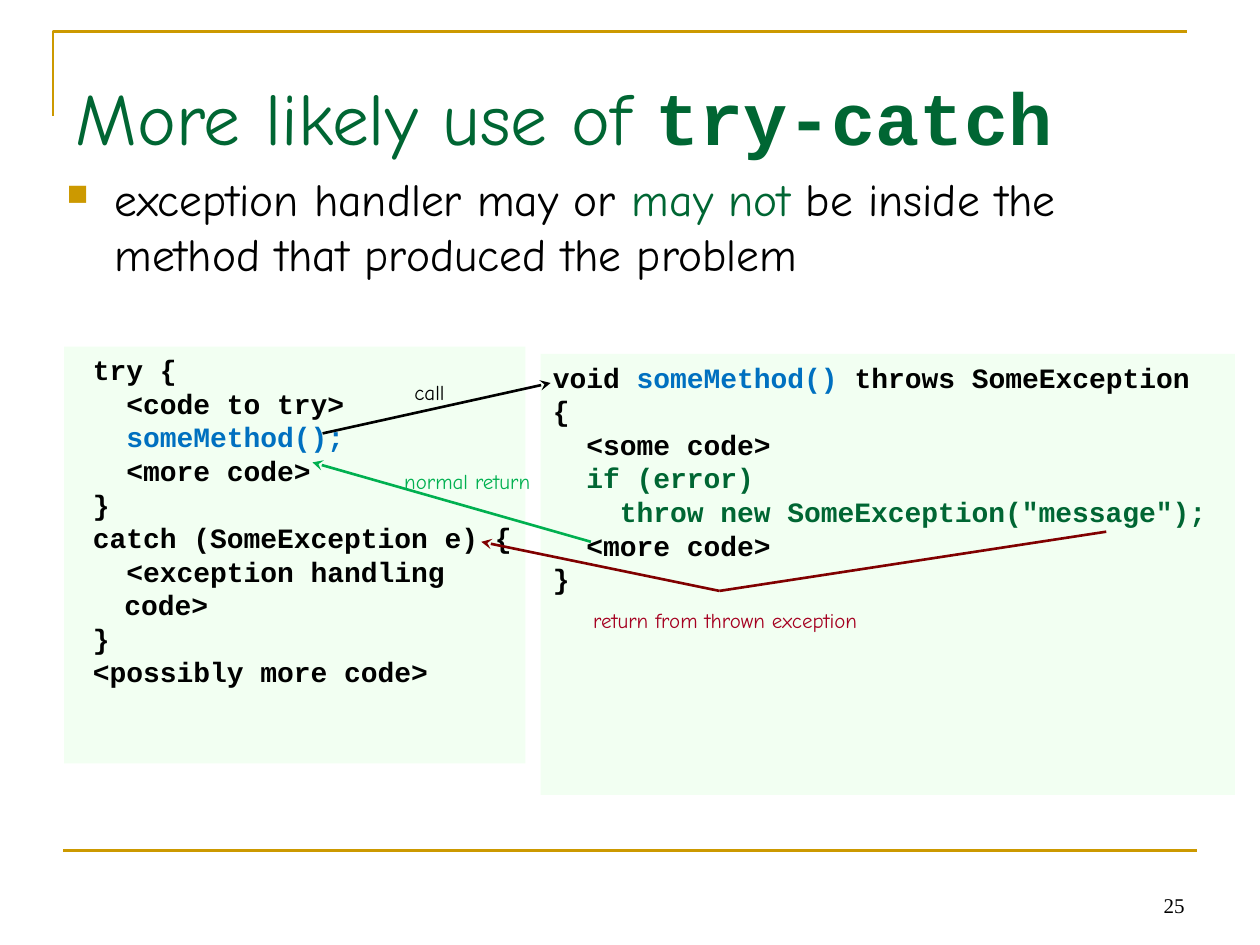
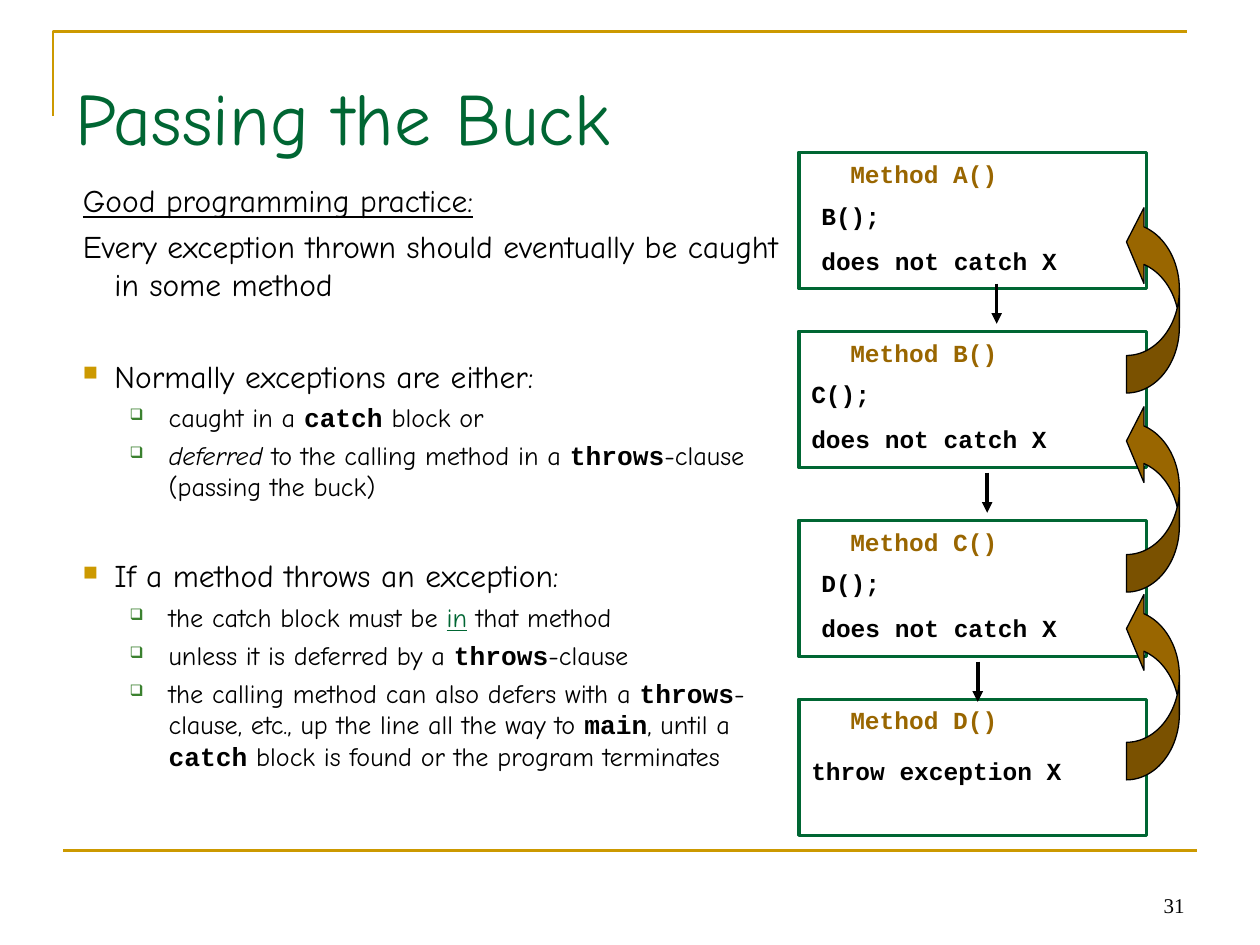
from dataclasses import dataclass, field
from typing import NamedTuple

from lxml import etree
from pptx import Presentation
from pptx.dml.color import RGBColor
from pptx.enum.shapes import MSO_CONNECTOR, MSO_SHAPE
from pptx.enum.text import MSO_ANCHOR as ANCHOR, MSO_AUTO_SIZE as FIT, PP_ALIGN as ALIGN
from pptx.oxml.ns import qn
from pptx.util import Inches, Pt


@dataclass(frozen=True)
class Theme:
    sans: str = "Comic Neue"
    mono: str = "Courier New"
    serif: str = "Times New Roman"
    black: str = "000000"
    green: str = "006633"
    gold: str = "CC9900"
    brown: str = "996600"
    blue: str = "0070C0"
    return_green: str = "00B050"
    maroon: str = "800000"
    crimson: str = "A50021"
    panel: str = "CCFFCC"
    sub_bullet: str = "3B812F"
    title: int = 42
    lead: int = 26
    body: int = 18
    code: int = 16
    sub: int = 15
    method: int = 14
    small: int = 12


T = Theme()


class Box(NamedTuple):
    left: float
    top: float
    width: float
    height: float

    def emu(self) -> list:
        return [Inches(v) for v in self]


class Bullet(NamedTuple):
    char: str
    color: str
    percent: int


@dataclass(frozen=True)
class Style:
    """Paragraph layout and the font its runs start from."""
    font: dict
    margin: float = 0
    indent: float = 0
    before: float = 0
    level: int = 0
    bullet: Bullet | None = None
    align: ALIGN = ALIGN.LEFT


class Para(NamedTuple):
    style: Style
    runs: list  # each a string or a (string, font changes) pair
    before: float | None = None


class Arrow(NamedTuple):
    start: tuple
    end: tuple
    color: str
    width: float = 1.5
    ends: dict = {}


@dataclass(frozen=True)
class Method:
    name: str
    top: float
    body_left: float
    body_top: float
    lines: list = field(default_factory=list)


# Fonts and paragraph styles
def font(size: int, color: str = T.black, name: str = T.sans, **more) -> dict:
    return {"size": Pt(size), "color": color, "name": name, **more}


def mono_font(size: int, color: str = T.black) -> dict:
    return font(size, color, T.mono, bold=True)


MONO = {"name": T.mono, "bold": True}
GREEN, BLUE = {"color": T.green}, {"color": T.blue}
SQUARE = Bullet("■", T.gold, 65)
OPEN_SQUARE = Bullet("❑", T.sub_bullet, 60)

TITLE = Style(font(T.title, T.green))
NUMBER = Style(font(T.small, name=T.serif), align=ALIGN.RIGHT)
LEAD = Style(font(T.lead), 0.38, -0.38, bullet=SQUARE)
PLAIN = Style(font(T.body), 0.38, -0.25, 4.5)
POINT = Style(font(T.body), 0.38, -0.25, 4.5, bullet=SQUARE)
SUB = Style(font(T.sub), 0.81, -0.31, 3.7, 1, OPEN_SQUARE)
CALLER_CODE = Style(mono_font(T.code), 0.38, -0.25)
CALLED_CODE = Style(mono_font(T.code), 0.38, -0.38)
METHOD_NAME = Style(mono_font(T.method, T.brown))
METHOD_CODE = Style(mono_font(T.method), before=8.8)
SECTION_GAP = 31


# Drawing helpers
def rgb(value: str) -> RGBColor:
    return RGBColor.from_string(value)


def add_xml(parent, tag: str, **attrs):
    return etree.SubElement(parent, qn(tag), {k: str(v) for k, v in attrs.items()})


def write(tf, paras: list[Para], anchor: ANCHOR = ANCHOR.TOP, fit: FIT = FIT.NONE) -> None:
    for key, value in {"word_wrap": True, "vertical_anchor": anchor, "auto_size": fit}.items():
        setattr(tf, key, value)
    for i, para in enumerate(paras):
        st = para.style
        p = tf.paragraphs[0] if i == 0 else tf.add_paragraph()
        p.alignment, p.level = st.align, st.level
        before = st.before if para.before is None else para.before
        p.space_before = Pt(before if i else 0)
        pPr = p._p.get_or_add_pPr()
        pPr.set("marL", str(Inches(st.margin)))
        pPr.set("indent", str(Inches(st.indent)))
        if st.bullet:
            add_xml(add_xml(pPr, "a:buClr"), "a:srgbClr", val=st.bullet.color)
            add_xml(pPr, "a:buSzPct", val=st.bullet.percent * 1000)
            add_xml(pPr, "a:buChar", char=st.bullet.char)
        for run in para.runs:
            text, changes = (run, {}) if isinstance(run, str) else run
            r = p.add_run()
            r.text = text
            for key, value in {**st.font, **changes}.items():
                if key == "color":
                    r.font.color.rgb = rgb(value)
                else:
                    setattr(r.font, key, value)


def add_text(s, box: Box, paras: list[Para], **options) -> None:
    write(s.shapes.add_textbox(*box.emu()).text_frame, paras, **options)


def add_line(s, line: Arrow) -> None:
    points = [Inches(v) for v in (*line.start, *line.end)]
    c = s.shapes.add_connector(MSO_CONNECTOR.STRAIGHT, *points)
    c.line.color.rgb, c.line.width = rgb(line.color), Pt(line.width)
    ln = c.line._get_or_add_ln()
    for tag in ("headEnd", "tailEnd"):
        if tag in line.ends:
            add_xml(ln, f"a:{tag}", type=line.ends[tag])
    add_xml(c._element.spPr, "a:effectLst")


def add_code_panel(s, box: Box, style: Style, lines: list) -> None:
    sp = s.shapes.add_shape(MSO_SHAPE.RECTANGLE, *box.emu())
    sp.shadow.inherit = False
    sp.fill.solid()
    sp.fill.fore_color.rgb = rgb(T.panel)
    add_xml(sp._element.spPr.find(".//" + qn("a:srgbClr")), "a:alpha", val=25000)
    sp.line.fill.background()
    write(sp.text_frame, [Para(style, runs) for runs in lines])


def add_method(s, m: Method) -> None:
    sp = s.shapes.add_shape(MSO_SHAPE.RECTANGLE, *Box(6.34, m.top, 2.76, 1.08).emu())
    sp.shadow.inherit = False
    sp.fill.background()
    sp.line.color.rgb, sp.line.width = rgb(T.green), Pt(2)
    add_text(s, Box(6.65, m.top, 1.6, 0.34), [Para(METHOD_NAME, [f"Method {m.name}()"])],
             fit=FIT.SHAPE_TO_FIT_TEXT)
    add_text(s, Box(m.body_left, m.body_top, 2.68, 0.35 * len(m.lines)),
             [Para(METHOD_CODE, [text]) for text in m.lines], fit=FIT.SHAPE_TO_FIT_TEXT)


def add_pass_up_arrow(s, top: float) -> None:
    sp = s.shapes.add_shape(MSO_SHAPE.CURVED_LEFT_ARROW, *Box(8.94, top, 0.42, 1.5).emu())
    for i, value in enumerate((0.71, 1.43, 0.33)):
        sp.adjustments[i] = value
    sp._element.spPr.find(qn("a:xfrm")).set("flipV", "1")
    sp.shadow.inherit = False
    sp.fill.solid()
    sp.fill.fore_color.rgb = rgb(T.brown)
    sp.line.color.rgb, sp.line.width = rgb(T.black), Pt(0.75)


def add_slide(prs, title: list, number: int):
    """Slide with the gold frame, page number and title."""
    s = prs.slides.add_slide(prs.slide_layouts[5])
    fb = s.shapes.build_freeform(Inches(0.42), Inches(0.92))
    fb.add_line_segments([(Inches(0.42), Inches(0.25)), (Inches(9.42), Inches(0.25))], close=False)
    corner = fb.convert_to_shape()
    corner.shadow.inherit = False
    corner.fill.background()
    corner.line.color.rgb, corner.line.width = rgb(T.gold), Pt(1.5)
    add_line(s, Arrow((0.5, 6.75), (9.5, 6.75), T.gold))
    add_text(s, Box(7.17, 6.83, 2.33, 0.5), [Para(NUMBER, [str(number)])], anchor=ANCHOR.BOTTOM)

    sp = s.shapes.title
    sp.left, sp.top, sp.width, sp.height = Box(0.5, 0.3, 9, 1.25).emu()
    write(sp.text_frame, [Para(TITLE, title)], anchor=ANCHOR.MIDDLE)
    return s


# Slides
def build_try_catch(prs) -> None:
    s = add_slide(prs, ["More likely use of ", ("try-catch", MONO)], 25)
    add_code_panel(s, Box(0.51, 2.75, 3.66, 3.31), CALLER_CODE, [
        ["try {"],
        ["  <code to try>"],
        ["  ", ("someMethod();", BLUE)],
        ["  <more code>"],
        ["}"],
        ["catch (SomeException e) {"],
        ["  <exception handling code>"],
        ["}"],
        ["<possibly more code>"],
    ])
    add_text(s, Box(0.43, 1.31, 9, 4.95), [Para(LEAD, [
        "exception handler may or", (" may not", GREEN),
        " be inside the method that produced the problem"])])
    add_code_panel(s, Box(4.29, 2.81, 5.51, 3.5), CALLED_CODE, [
        ["void ", ("someMethod() ", BLUE), "throws SomeException"],
        ["{"],
        ["  <some code>"],
        ["  ", ("if (error)", GREEN)],
        [("    throw new SomeException(\"message\");", GREEN)],
        ["  <more code>"],
        ["}"],
    ])

    # Call, normal return and the bent exception return
    bend = (5.71, 4.69)
    for line in (
        Arrow((2.56, 3.44), (4.37, 3.04), T.black, ends={"tailEnd": "stealth"}),
        Arrow((4.69, 4.3), (2.48, 3.67), T.return_green, ends={"tailEnd": "stealth"}),
        Arrow((3.82, 4.3), bend, T.maroon, ends={"headEnd": "stealth"}),
        Arrow(bend, (8.78, 4.22), T.maroon),
    ):
        add_line(s, line)
    for text, color, left, top, width in (
        ("return from thrown exception", T.crimson, 4.61, 4.77, 2.99),
        ("call", T.black, 3.19, 2.96, 0.79),
        ("normal return", T.return_green, 3.11, 3.67, 2.99),
    ):
        label = Style(font(T.small, color), 0.38, -0.38)
        add_text(s, Box(left, top, width, 0.3), [Para(label, [text])], fit=FIT.SHAPE_TO_FIT_TEXT)


def build_passing_the_buck(prs) -> None:
    s = add_slide(prs, ["Passing the Buck"], 31)
    add_text(s, Box(0.43, 1.39, 5.91, 4.75), [
        Para(PLAIN, [("Good programming practice:", {"underline": True})]),
        Para(PLAIN, ["Every exception thrown should eventually be caught in some method"]),
        Para(POINT, ["Normally exceptions are either:"], SECTION_GAP),
        Para(SUB, ["caught in a ", ("catch", MONO), " block or"]),
        Para(SUB, [("deferred", {"italic": True}), " to the calling method in a ",
                   ("throws", MONO), "-clause (passing the buck)"]),
        Para(POINT, ["If a method throws an exception:"], SECTION_GAP),
        Para(SUB, ["the catch block must be ", ("in", {**GREEN, "underline": True}),
                   " that method"]),
        Para(SUB, ["unless it is deferred by a ", ("throws", MONO), "-clause"]),
        Para(SUB, ["the calling method can also defers with a ", ("throws", MONO),
                   "-clause, etc., up the line all the way to ", ("main", MONO), ", until a ",
                   ("catch", MONO), " block is found or the program terminates"]),
    ])

    # Call chain going down, exception passed back up
    uncaught = "does not catch X"
    for m in (
        Method("A", 1.21, 6.42, 1.55, ["B();", uncaught]),
        Method("B", 2.63, 6.34, 2.96, ["C();", uncaught]),
        Method("C", 4.13, 6.42, 4.46, ["D();", uncaught]),
        Method("D", 5.55, 6.34, 5.95, ["throw exception X"]),
    ):
        add_method(s, m)
    for i, top in enumerate((1.62, 3.2, 4.69)):
        x, y = 7.91 - 0.075 * i, 2.25 + 1.5 * i
        add_line(s, Arrow((x, y), (x, y + 0.32), T.black, 2, {"tailEnd": "triangle"}))
        add_pass_up_arrow(s, top)


def main() -> None:
    prs = Presentation()
    prs.slide_width, prs.slide_height = Inches(10), Inches(7.5)
    build_try_catch(prs)
    build_passing_the_buck(prs)
    prs.save("out.pptx")


if __name__ == "__main__":
    main()
